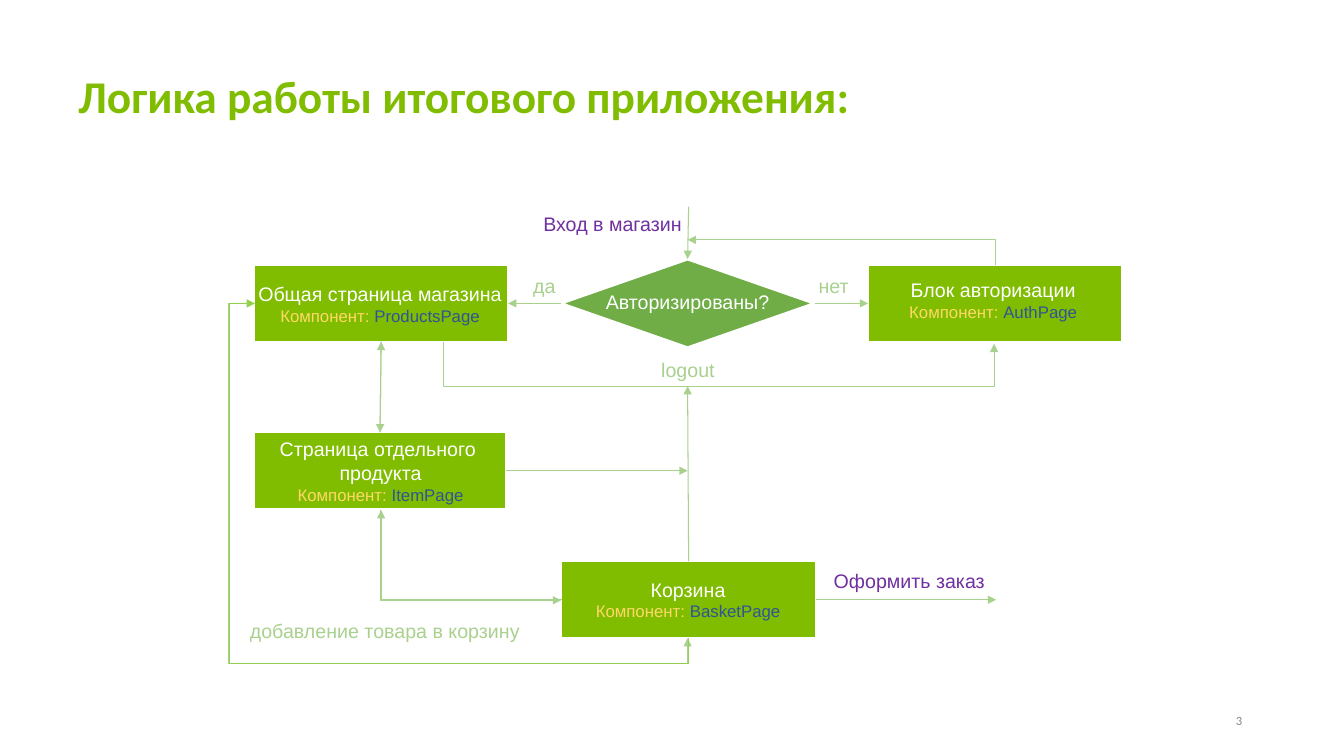
"""Build the slide showing how the pages of the shop application connect."""
from dataclasses import dataclass
from typing import Optional

import lxml.etree
import pptx
import pptx.dml.color
import pptx.enum.shapes
import pptx.enum.text
import pptx.oxml.ns
import pptx.shapes.autoshape
import pptx.shapes.connector
import pptx.slide
import pptx.util

Inches = pptx.util.Inches
Color = pptx.dml.color.RGBColor
Shapes = pptx.enum.shapes.MSO_SHAPE
Connectors = pptx.enum.shapes.MSO_CONNECTOR
Align = pptx.enum.text.PP_ALIGN
Anchor = pptx.enum.text.MSO_ANCHOR
AutoSize = pptx.enum.text.MSO_AUTO_SIZE
qn = pptx.oxml.ns.qn
TOP, LEFT, BOTTOM, RIGHT = range(4)


@dataclass(frozen=True)
class Theme:
    page: Color = Color.from_string("80BC00")
    decision: Color = Color.from_string("70AD47")
    white: Color = Color.from_string("FFFFFF")
    arrow: Color = Color.from_string("A9D18E")
    bright_arrow: Color = Color.from_string("92D050")
    action: Color = Color.from_string("7030A0")
    component: Color = Color.from_string("FFD966")
    component_name: Color = Color.from_string("2F5597")
    number: Color = Color.from_string("888888")
    heading_font: str = "Calibri"
    body_font: str = "Arial"
    title_size: float = 32.4
    label_size: float = 14
    component_size: float = 12
    number_size: float = 9
    line_width: float = 0.75


THEME = Theme()


@dataclass(frozen=True)
class Node:
    name: str
    left: float
    top: float
    width: float = 2.52
    height: float = 0.76
    kind: Shapes = Shapes.RECTANGLE
    fill: Color = THEME.page
    border: float = 1


@dataclass(frozen=True)
class Arrow:
    start: tuple[float, float]
    end: tuple[float, float]
    source: Optional[tuple[str, int]] = None
    target: Optional[tuple[str, int]] = None


@dataclass(frozen=True)
class Elbow:
    bends: int
    start: tuple[float, float]
    end: tuple[float, float]
    rotation: int = 0
    adjustments: tuple[int, ...] = ()
    color: Color = THEME.arrow


@dataclass(frozen=True)
class Line:
    runs: tuple[tuple[str, Color], ...]
    size: float = THEME.label_size
    font: str = THEME.body_font
    bold: bool = False
    spacing: Optional[float] = None


@dataclass(frozen=True)
class Caption:
    left: float
    top: float
    width: float
    height: float
    lines: tuple[Line, ...]
    align: Align = Align.LEFT
    wrap: bool = False
    anchor: Anchor = Anchor.TOP
    grow: bool = True


def label(text: str, color: Color = THEME.arrow) -> tuple[Line, ...]:
    return (Line(((text, color),)),)


def page_lines(component: str, *titles: str) -> tuple[Line, ...]:
    runs = (("Компонент: ", THEME.component), (component, THEME.component_name))
    headings = tuple(Line(((title, THEME.white),)) for title in titles)
    return headings + (Line(runs, THEME.component_size),)


NODES = (
    Node("auth", 8.61, 2.63),
    Node("item", 2.52, 4.29, width=2.5),
    Node("basket", 5.57, 5.57),
    Node("products", 2.52, 2.63),
    Node("decision", 5.56, 2.57, height=0.88, kind=Shapes.DIAMOND, fill=THEME.decision, border=2),
)

ARROWS = (
    Arrow((6.83, 2.05), (6.82, 2.57), target=("decision", TOP)),
    Arrow((8.08, 3.01), (8.61, 3.01), ("decision", RIGHT), ("auth", LEFT)),
    Arrow((5.56, 3.01), (5.04, 3.01), ("decision", LEFT), ("products", RIGHT)),
    Arrow((3.78, 3.39), (3.78, 4.29), ("products", BOTTOM), ("item", TOP)),
    Arrow((3.78, 4.29), (3.78, 3.39), ("item", TOP), ("products", BOTTOM)),
    Arrow((5.02, 4.67), (6.82, 4.67), ("item", RIGHT)),
    Arrow((6.83, 5.57), (6.82, 3.83), ("basket", TOP)),
    Arrow((8.09, 5.95), (9.88, 5.95), ("basket", RIGHT)),
)

ELBOWS = (
    Elbow(2, (5.12, 4.61), (4.22, 6.4), 270),
    Elbow(2, (8.22, 4.03), (8.47, 0.98), 270),
    Elbow(4, (6.82, 6.33), (2.52, 3.01), 180, (-5800, 107500)),
    Elbow(2, (3.78, 5.06), (5.57, 5.95), 180),
    Elbow(4, (6.34, 2.52), (3.02, 6.82), 90, (-7500, 105800), THEME.bright_arrow),
    Elbow(4, (4.4, 3.4), (9.86, 3.41), 0, (-100, 4400000)),
)

CAPTIONS = (
    Caption(0.68, 0.69, 8.46, 0.64,
            (Line((("Логика работы итогового приложения:", THEME.page),),
                  THEME.title_size, THEME.heading_font, True, 0.9),), wrap=True, grow=False),
    Caption(11.67, 6.95, 0.75, 0.4,
            (Line((("3", THEME.number),), THEME.number_size, THEME.heading_font),),
            Align.RIGHT, True, Anchor.MIDDLE, False),
    Caption(5.29, 2.05, 1.6, 0.34, label("Вход в магазин", THEME.action)),
    Caption(8.59, 2.71, 2.52, 0.54, page_lines("AuthPage", "Блок авторизации"), Align.CENTER, True),
    Caption(5.56, 2.83, 2.52, 0.34, label("Авторизированы?", THEME.white), Align.CENTER, True),
    Caption(2.45, 2.75, 2.64, 0.54, page_lines("ProductsPage", "Общая страница магазина"), Align.CENTER),
    Caption(2.66, 4.29, 2.23, 0.77,
            page_lines("ItemPage", "Страница отдельного ", "продукта"), Align.CENTER),
    Caption(5.8, 5.68, 2.05, 0.54, page_lines("BasketPage", "Корзина"), Align.CENTER),
    Caption(5.19, 2.67, 0.42, 0.34, label("да")),
    Caption(8.02, 2.67, 0.51, 0.34, label("нет")),
    Caption(6.46, 3.5, 0.73, 0.34, label("logout")),
    Caption(2.38, 6.09, 3.26, 0.34, label("добавление товара в корзину"), wrap=True),
    Caption(8.17, 5.59, 1.71, 0.34, label("Оформить заказ", THEME.action)),
)


def draw_node(slide: pptx.slide.Slide, node: Node) -> pptx.shapes.autoshape.Shape:
    box = map(Inches, (node.left, node.top, node.width, node.height))
    shape = slide.shapes.add_shape(node.kind, *box)
    shape.shadow.inherit = False
    shape.fill.solid()
    shape.fill.fore_color.rgb = node.fill
    shape.line.color.rgb = THEME.white
    shape.line.width = pptx.util.Pt(node.border)
    return shape


def draw_connector(slide: pptx.slide.Slide, kind: Connectors, start: tuple[float, float],
                   end: tuple[float, float], color: Color) -> pptx.shapes.connector.Connector:
    connector = slide.shapes.add_connector(kind, *map(Inches, start + end))
    connector.line.color.rgb = color
    connector.line.width = pptx.util.Pt(THEME.line_width)
    properties = connector.element.spPr
    lxml.etree.SubElement(properties.find(qn("a:ln")), qn("a:tailEnd"), type="triangle")
    lxml.etree.SubElement(properties, qn("a:effectLst"))
    return connector


def draw_arrow(slide: pptx.slide.Slide, arrow: Arrow,
               nodes: dict[str, pptx.shapes.autoshape.Shape]) -> None:
    connector = draw_connector(slide, Connectors.STRAIGHT, arrow.start, arrow.end, THEME.arrow)
    if arrow.source:
        connector.begin_connect(nodes[arrow.source[0]], arrow.source[1])
    if arrow.target:
        connector.end_connect(nodes[arrow.target[0]], arrow.target[1])


def draw_elbow(slide: pptx.slide.Slide, elbow: Elbow) -> None:
    connector = draw_connector(slide, Connectors.ELBOW, elbow.start, elbow.end, elbow.color)
    properties = connector.element.spPr
    properties.find(qn("a:xfrm")).set("rot", str(elbow.rotation * 60000))
    geometry = properties.find(qn("a:prstGeom"))
    geometry.set("prst", f"bentConnector{elbow.bends}")
    for index, value in enumerate(elbow.adjustments, 1):
        lxml.etree.SubElement(geometry.find(qn("a:avLst")), qn("a:gd"),
                              name=f"adj{index}", fmla=f"val {value}")


def draw_caption(slide: pptx.slide.Slide, caption: Caption) -> None:
    box = map(Inches, (caption.left, caption.top, caption.width, caption.height))
    frame = slide.shapes.add_textbox(*box).text_frame
    frame.word_wrap = caption.wrap
    frame.auto_size = AutoSize.SHAPE_TO_FIT_TEXT if caption.grow else AutoSize.NONE
    frame.vertical_anchor = caption.anchor
    for index, line in enumerate(caption.lines):
        paragraph = frame.add_paragraph() if index else frame.paragraphs[0]
        paragraph.alignment = caption.align
        paragraph.line_spacing = line.spacing
        paragraph.font.name = line.font
        paragraph.font.size = pptx.util.Pt(line.size)
        paragraph.font.bold = line.bold
        for text, color in line.runs:
            run = paragraph.add_run()
            run.text = text
            run.font.color.rgb = color


def main() -> None:
    presentation = pptx.Presentation()
    presentation.slide_width, presentation.slide_height = Inches(13.33), Inches(7.5)
    slide = presentation.slides.add_slide(presentation.slide_layouts[6])
    nodes = {node.name: draw_node(slide, node) for node in NODES}
    for arrow in ARROWS:
        draw_arrow(slide, arrow, nodes)
    for elbow in ELBOWS:
        draw_elbow(slide, elbow)
    for caption in CAPTIONS:
        draw_caption(slide, caption)
    presentation.save("out.pptx")


if __name__ == "__main__":
    main()
